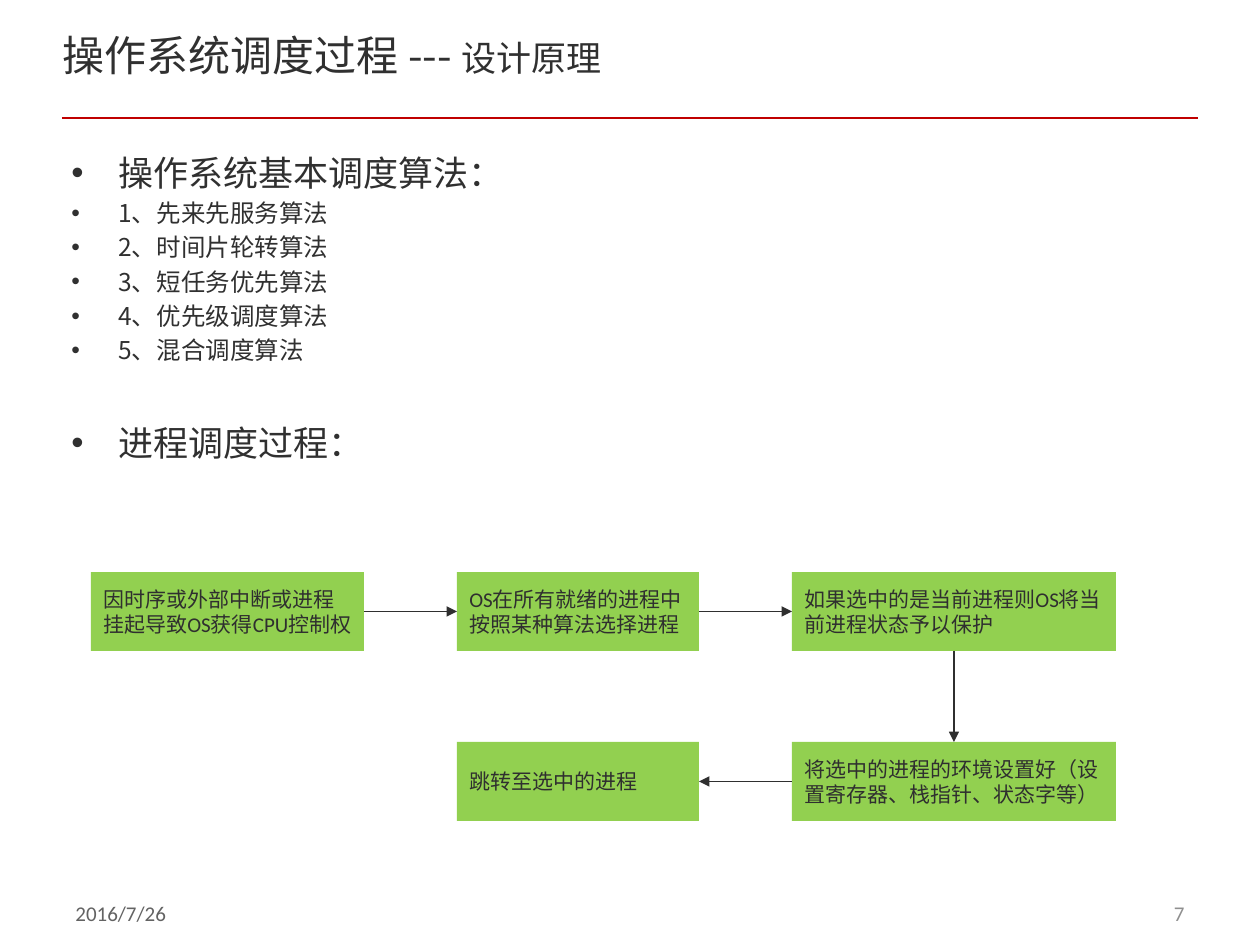
from lxml.etree import SubElement
from pptx import Presentation
from pptx.dml.color import RGBColor
from pptx.enum.shapes import MSO_CONNECTOR, MSO_SHAPE
from pptx.enum.text import MSO_ANCHOR, PP_ALIGN
from pptx.oxml.ns import qn
from pptx.util import Pt

PX = 914400 // 126
COLORS = {"rule": "C00000", "text": "303030", "box": "92D050", "ink": "2F2F2F",
          "date": "636363", "number": "8F8F8F"}
LATIN, CJK = "Calibri", "Noto Sans CJK SC"

TITLE = [("操作系统调度过程 --- ", 24), ("设计原理", 20)]
BODY = [
    ("操作系统基本调度算法：", 20, 0),
    ("1、先来先服务算法", 14, 2.8),
    ("2、时间片轮转算法", 14, 2.8),
    ("3、短任务优先算法", 14, 2.8),
    ("4、优先级调度算法", 14, 2.8),
    ("5、混合调度算法", 14, 2.8),
    ("进程调度过程：", 20, 32.4),
]
FOOTERS = [
    ("2016/7/26", 63, "date", PP_ALIGN.LEFT),
    ("7", 903, "number", PP_ALIGN.RIGHT),
]
COLUMNS = [(91, 273), (457, 242), (792, 324)]
ROWS = [572, 742]
BOX_HEIGHT = 79
STEPS = [
    ("因时序或外部中断或进程挂起导致OS获得CPU控制权", 0, 0),
    ("OS在所有就绪的进程中按照某种算法选择进程", 1, 0),
    ("如果选中的是当前进程则OS将当前进程状态予以保护", 2, 0),
    ("将选中的进程的环境设置好（设置寄存器、栈指针、状态字等）", 2, 1),
    ("跳转至选中的进程", 1, 1),
]
TOP, LEFT, BOTTOM, RIGHT = range(4)
ARROWS = [(RIGHT, LEFT), (RIGHT, LEFT), (BOTTOM, TOP), (LEFT, RIGHT)]

prs = Presentation()
prs.slide_width, prs.slide_height = 1260 * PX, 945 * PX
s = prs.slides.add_slide(prs.slide_layouts[6])


def rgb(name):
    return RGBColor.from_string(COLORS[name])


def apply(obj, values):
    for key, value in values.items():
        setattr(obj, key, value)


def add_run(p, text, size, color, font):
    r = p.add_run()
    r.text = text
    apply(r.font, {"size": Pt(size), "name": font})
    r.font.color.rgb = rgb(color)
    SubElement(r.font._element, qn("a:ea"), typeface=CJK)


def add_text(left, top, width, height, **values):
    tf = s.shapes.add_textbox(left * PX, top * PX, width * PX, height * PX).text_frame
    apply(tf, {"word_wrap": True, **values})
    return tf


def add_line(x1, y1, x2, y2, color, width):
    line = s.shapes.add_connector(MSO_CONNECTOR.STRAIGHT, x1 * PX, y1 * PX, x2 * PX, y2 * PX)
    line.line.color.rgb = rgb(color)
    line.line.width = Pt(width)
    SubElement(line._element.spPr, qn("a:effectLst"))
    return line


add_line(62, 118, 1198, 118, "rule", 1)

for text, left, color, align in FOOTERS:
    p = add_text(left, 880, 294, 67, vertical_anchor=MSO_ANCHOR.MIDDLE).paragraphs[0]
    p.alignment = align
    add_run(p, text, 12, color, LATIN)

p = add_text(63, 25, 974, 88, margin_left=0, margin_top=0,
             margin_right=0, margin_bottom=0).paragraphs[0]
p.line_spacing = Pt(31.5)
for text, size in TITLE:
    add_run(p, text, size, "text", CJK)

tf = add_text(59, 145, 1134, 709)
for i, (text, size, before) in enumerate(BODY):
    p = tf.add_paragraph() if i else tf.paragraphs[0]
    apply(p, {"line_spacing": Pt(size * 1.2), "space_before": Pt(before)})
    pPr = p._p.get_or_add_pPr()
    pPr.set("marL", str(47 * PX))
    pPr.set("indent", str(-47 * PX))
    SubElement(pPr, qn("a:buFont"), typeface="Arial")
    SubElement(pPr, qn("a:buChar"), char="•")
    add_run(p, text, size, "text", CJK)

boxes = []
for text, column, row in STEPS:
    left, width = COLUMNS[column]
    sp = s.shapes.add_shape(MSO_SHAPE.RECTANGLE, left * PX, ROWS[row] * PX,
                            width * PX, BOX_HEIGHT * PX)
    sp.shadow.inherit = False
    sp.fill.solid()
    sp.fill.fore_color.rgb = rgb("box")
    sp.line.fill.background()
    apply(sp.text_frame, {"word_wrap": True, "vertical_anchor": MSO_ANCHOR.MIDDLE})
    p = sp.text_frame.paragraphs[0]
    apply(p, {"alignment": PP_ALIGN.LEFT, "line_spacing": Pt(14.4)})
    add_run(p, text, 12, "ink", LATIN)
    boxes.append(sp)

for start, end, (out_side, in_side) in zip(boxes, boxes[1:], ARROWS):
    arrow = add_line(0, 0, 0, 0, "ink", 0.75)
    arrow.begin_connect(start, {TOP: 0, LEFT: 1, BOTTOM: 2, RIGHT: 3}[out_side])
    arrow.end_connect(end, in_side)
    SubElement(arrow.line._get_or_add_ln(), qn("a:tailEnd"), type="triangle")

prs.save("out.pptx")
